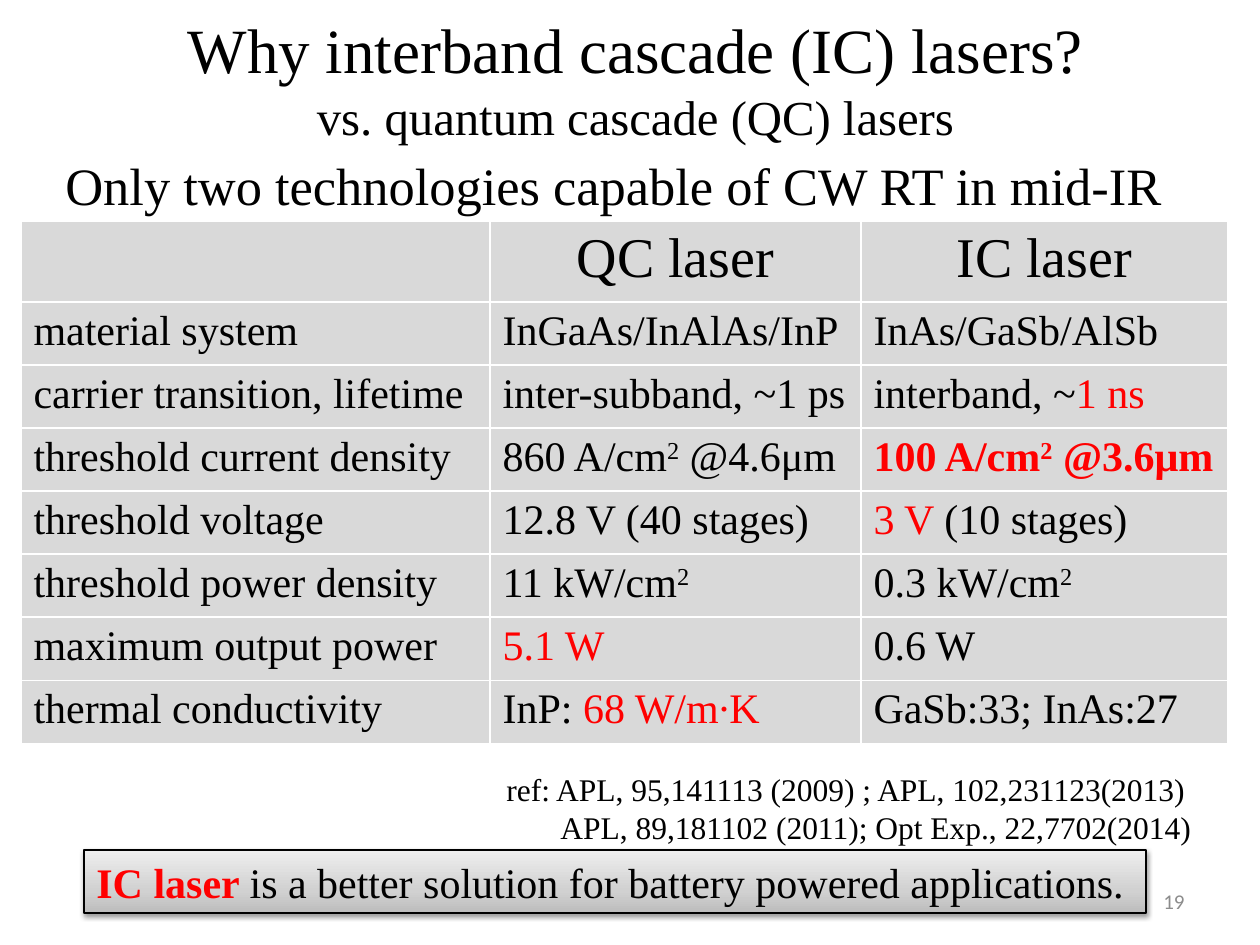
from copy import deepcopy
from lxml import etree
from pptx import Presentation
from pptx import util as u
from pptx.dml.color import RGBColor
from pptx.enum import text
from pptx.enum import shapes
from pptx.oxml.ns import qn

HUE = {"ink": "000000", "red": "FF0000", "cell": "D9D9D9", "page": "8C8C8C",
       "low": "BDBDBD", "mid": "D1D1D1", "high": "EEEEEE"}
SCALE = 914400 / 126


def px(*nums):
    return [u.Emu(round(n * SCALE)) for n in nums]


def write(para, words, size=24, hue="ink", bold=False, sup=False, face="Times New Roman"):
    run = para.add_run()
    run.text = words
    font = run.font
    font.size, font.bold, font.name = u.Pt(size), bold, face
    font.color.rgb = RGBColor.from_string(HUE[hue])
    if sup:
        run._r.get_or_add_rPr().set("baseline", "30000")


deck = Presentation()
deck.slide_width, deck.slide_height = px(1260, 945)
slide = deck.slides.add_slide(deck.slide_layouts[5])
items = slide.shapes

title = items.title
title.left, title.top, title.width, title.height = px(42, 10, 1187, 136)
frame = title.text_frame
frame.vertical_anchor = text.MSO_ANCHOR.MIDDLE
frame.auto_size = text.MSO_AUTO_SIZE.NONE
para = frame.paragraphs[0]
para.alignment = text.PP_ALIGN.CENTER
write(para, "Why interband cascade (IC) lasers?", size=36)
para.add_line_break()
write(para, "vs. quantum cascade (QC) lasers", size=27.9)

lead = items.add_textbox(*px(53, 147, 1144, 84)).text_frame
lead.word_wrap = True
write(lead.paragraphs[0], "Only two technologies capable of CW RT in mid-IR", size=30)

RED = {"hue": "red"}
BOLD = {"hue": "red", "bold": True}
SUP = {"sup": True}
HEAD = {"size": 32}
rows = [
    [[], [("QC laser", HEAD)], [("IC laser", HEAD)]],
    ["material system", "InGaAs/InAlAs/InP", "InAs/GaSb/AlSb"],
    ["carrier transition, lifetime", "inter-subband, ~1 ps",
     [("interband, ~", {}), ("1 ns", RED)]],
    ["threshold current density",
     [("860 A/cm", {}), ("2", SUP), (" @4.6μm", {})],
     [("100 A/cm", BOLD), ("2", BOLD | SUP), (" @3.6μm", BOLD)]],
    ["threshold voltage", "12.8 V (40 stages)", [("3 V ", RED), ("(10 stages)", {})]],
    ["threshold power density",
     [("11 kW/cm", {}), ("2", SUP)], [("0.3 kW/cm", {}), ("2", SUP)]],
    ["maximum output power", [("5.1 W", RED)], "0.6 W"],
    ["thermal conductivity", [("InP: ", {}), ("68 W/m∙K", RED)], "GaSb:33; InAs:27"],
]
grid = items.add_table(len(rows), 3, *px(21, 221, 1207, 498)).table
for col, wide in zip(grid.columns, px(469, 371, 367)):
    col.width = wide
for row, high in zip(grid.rows, px(81, 59, 59, 59, 59, 63, 59, 59)):
    row.height = high
for r, row in enumerate(rows):
    for c, parts in enumerate(row):
        cell = grid.cell(r, c)
        cell.fill.solid()
        cell.fill.fore_color.rgb = RGBColor.from_string(HUE["cell"])
        para = cell.text_frame.paragraphs[0]
        if r == 0:
            para.alignment = text.PP_ALIGN.CENTER
        for words, style in [(parts, {})] if isinstance(parts, str) else parts:
            write(para, words, **style)

page = items.add_textbox(*px(903, 876, 294, 50)).text_frame
page.word_wrap = True
page.vertical_anchor = text.MSO_ANCHOR.MIDDLE
page.paragraphs[0].alignment = text.PP_ALIGN.RIGHT
write(page.paragraphs[0], "19", size=12, hue="page", face="Calibri")

box = items.add_shape(shapes.MSO_SHAPE.RECTANGLE, *px(84, 850, 1062, 63))
box.line.color.rgb = RGBColor.from_string(HUE["ink"])
box.line.width = u.Pt(0.75)
box.fill.gradient()
box.fill.gradient_angle = 90
first = box.fill.gradient_stops[0]._gs
first.addnext(deepcopy(first))
for stop, spot, hue in zip(box.fill.gradient_stops, (0, 0.35, 1), ("low", "mid", "high")):
    stop.position = spot
    stop.color.rgb = RGBColor.from_string(HUE[hue])
box.shadow.inherit = False
glow = etree.SubElement(box._element.spPr.find(qn("a:effectLst")), qn("a:outerShdw"),
                        blurRad=str(u.Pt(3.1)), dist=str(u.Pt(1.6)), dir="5400000", rotWithShape="0")
tint = etree.SubElement(glow, qn("a:srgbClr"), val=HUE["ink"])
etree.SubElement(tint, qn("a:alpha"), val="38000")
frame = box.text_frame
frame.word_wrap = False
frame.vertical_anchor = text.MSO_ANCHOR.TOP
para = frame.paragraphs[0]
para.alignment = text.PP_ALIGN.LEFT
write(para, "IC laser ", **BOLD)
write(para, "is a better solution for battery powered applications.")

refs = items.add_textbox(*px(494, 764, 711, 89)).text_frame
refs.word_wrap = False
write(refs.paragraphs[0], "ref: APL, 95,141113 (2009) ; APL, 102,231123(2013)", size=18)
para = refs.add_paragraph()
para._p.get_or_add_pPr().set("marL", str(px(54)[0]))
write(para, "APL, 89,181102 (2011); Opt Exp., 22,7702(2014)", size=18)

deck.save("out.pptx")
